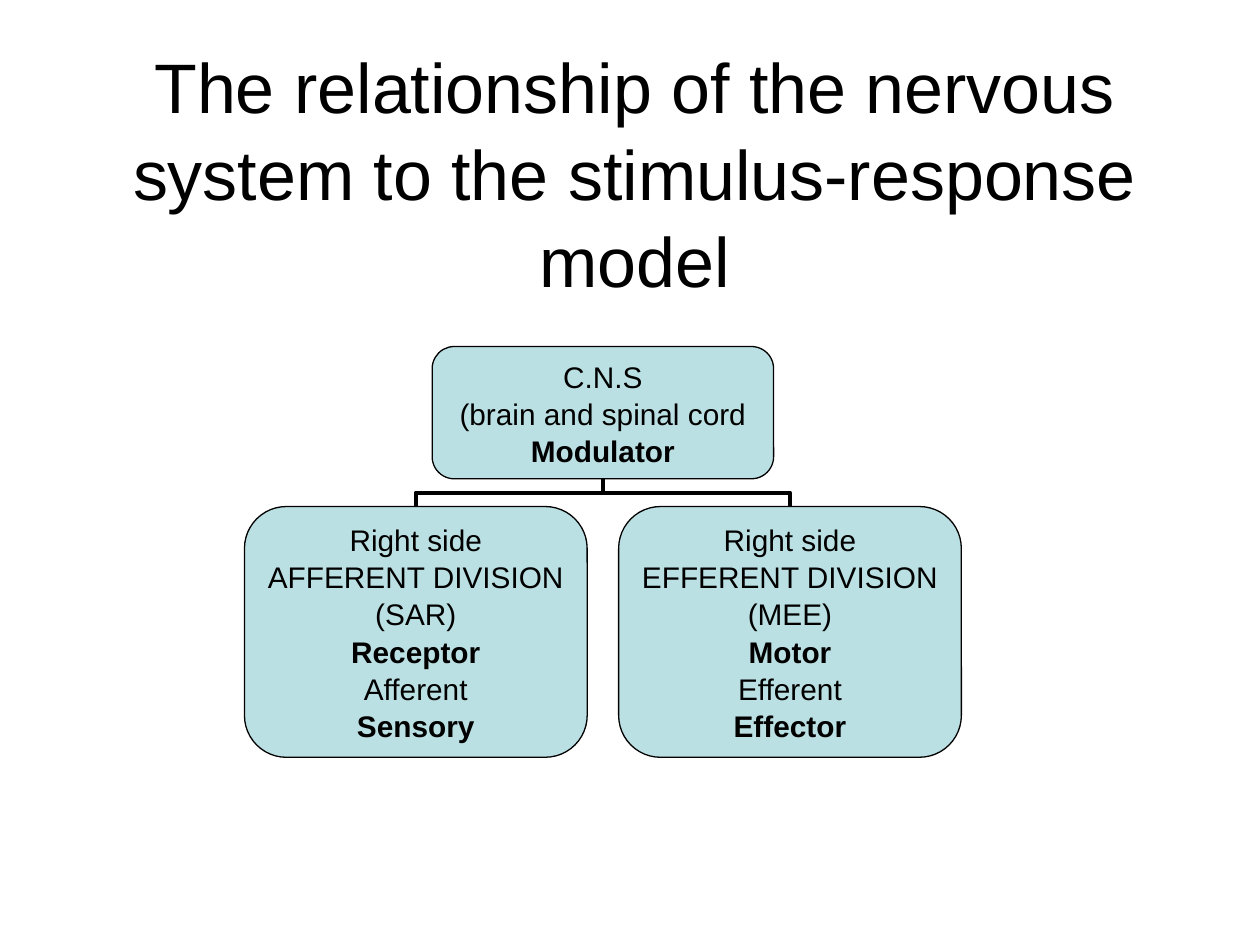
from lxml.etree import SubElement
from pptx import Presentation
from pptx.dml.color import RGBColor
from pptx.enum.shapes import MSO_CONNECTOR, MSO_SHAPE
from pptx.enum.text import MSO_ANCHOR, PP_ALIGN
from pptx.oxml.ns import qn
from pptx.util import Inches, Pt

BLACK, PALE_TEAL = "000000", "BBE0E3"
FRAME_FORMAT = {
    "vertical_anchor": MSO_ANCHOR.MIDDLE,
    "margin_left": Inches(0.09), "margin_right": Inches(0.09),
    "margin_top": Inches(0.05), "margin_bottom": Inches(0.05),
}
PARAGRAPH_FORMAT = {"alignment": PP_ALIGN.CENTER, "line_spacing": 1.04}

# Division boxes share a row; the modulator box is centred above them
DIVISION_LEFTS = (1.94, 4.91)
DIVISION_TOP, DIVISION_WIDTH, DIVISION_HEIGHT = 4.02, 2.72, 1.99
CNS_LEFT, CNS_TOP, CNS_WIDTH, CNS_HEIGHT = 3.43, 2.75, 2.71, 1.05

CNS_LINES = ["C.N.S", "(brain and spinal cord", "Modulator"]
DIVISIONS = [
    ["Right side", "AFFERENT DIVISION", "(SAR)", "Receptor", "Afferent", "Sensory"],
    ["Right side", "EFFERENT DIVISION", "(MEE)", "Motor", "Efferent", "Effector"],
]
BOLD_TERMS = {"Modulator", "Receptor", "Sensory", "Motor", "Effector"}


def color(hex_value):
    return RGBColor.from_string(hex_value)


def apply_format(target, values):
    for name, value in values.items():
        setattr(target, name, value)


def write_lines(frame, lines, size, wrap):
    apply_format(frame, {**FRAME_FORMAT, "word_wrap": wrap})
    for index, line in enumerate(lines):
        paragraph = frame.add_paragraph() if index else frame.paragraphs[0]
        apply_format(paragraph, PARAGRAPH_FORMAT)
        run = paragraph.add_run()
        run.text = line
        apply_format(run.font, {"name": "Arial", "size": Pt(size), "bold": line in BOLD_TERMS})
        run.font.color.rgb = color(BLACK)


def add_title(slide, text):
    title = slide.shapes.add_textbox(Inches(0.5), Inches(0.3), Inches(9.07), Inches(2.11))
    write_lines(title.text_frame, [text], 40, True)


def add_box(slide, left, top, width, height, lines):
    box = slide.shapes.add_shape(MSO_SHAPE.ROUNDED_RECTANGLE, Inches(left), Inches(top),
                                 Inches(width), Inches(height))
    box.adjustments[0] = 0.167
    box.shadow.inherit = False
    box.fill.solid()
    box.fill.fore_color.rgb = color(PALE_TEAL)
    box.line.color.rgb = color(BLACK)
    box.line.width = Pt(0.75)
    write_lines(box.text_frame, lines, 17, False)


def add_branch(slide, child_x, child_y, parent_x, parent_y):
    """Elbow that leaves the child vertically: a quarter-turned bent connector."""
    center_x, center_y = (child_x + parent_x) / 2, (child_y + parent_y) / 2
    half_rise, half_run = (child_y - parent_y) / 2, abs(child_x - parent_x) / 2
    side = 1 if child_x > parent_x else -1
    branch = slide.shapes.add_connector(
        MSO_CONNECTOR.ELBOW,
        Inches(center_x - side * half_rise), Inches(center_y + half_run),
        Inches(center_x + side * half_rise), Inches(center_y - half_run))
    branch.line.color.rgb = color(BLACK)
    branch.line.width = Pt(2.25)
    properties = branch._element.spPr
    properties.find(qn("a:xfrm")).set("rot", str((270 if side > 0 else 90) * 60000))
    SubElement(properties, qn("a:effectLst"))


def main():
    deck = Presentation()
    deck.slide_width, deck.slide_height = Inches(10), Inches(7.5)
    slide = deck.slides.add_slide(deck.slide_layouts[6])

    add_title(slide, "The relationship of the nervous system to the stimulus-response model")

    # Branches sit behind the boxes
    for left in reversed(DIVISION_LEFTS):
        add_branch(slide, left + DIVISION_WIDTH / 2, DIVISION_TOP,
                   CNS_LEFT + CNS_WIDTH / 2, CNS_TOP + CNS_HEIGHT)

    # Nervous system hierarchy
    add_box(slide, CNS_LEFT, CNS_TOP, CNS_WIDTH, CNS_HEIGHT, CNS_LINES)
    for left, lines in zip(DIVISION_LEFTS, DIVISIONS):
        add_box(slide, left, DIVISION_TOP, DIVISION_WIDTH, DIVISION_HEIGHT, lines)

    deck.save("out.pptx")


if __name__ == "__main__":
    main()
